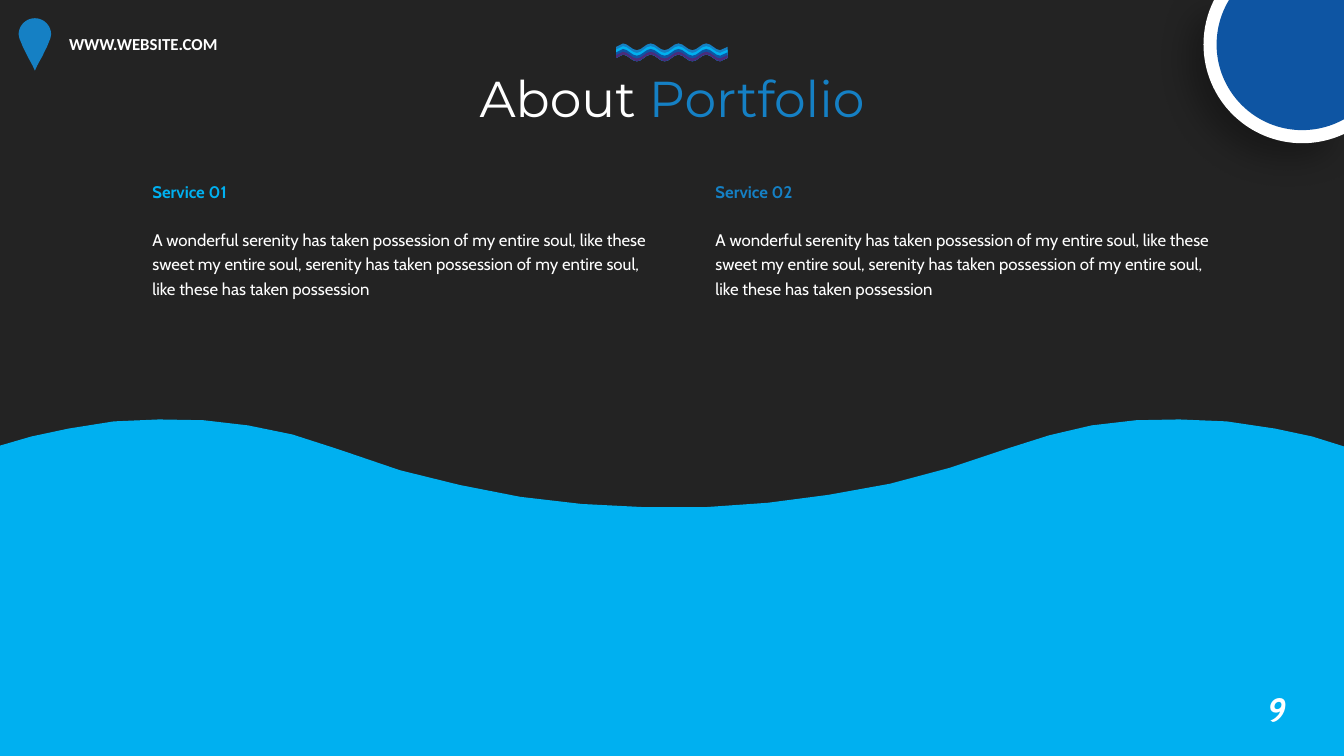
import itertools
import math
from dataclasses import dataclass

import lxml.etree
import pptx
import pptx.dml.color
import pptx.enum.text
import pptx.oxml.ns
import pptx.util

Cm = pptx.util.Cm
qn = pptx.oxml.ns.qn
WIDTH, HEIGHT = 33.87, 19.05


@dataclass(frozen=True)
class Theme:
    night: str = "232323"
    white: str = "FFFFFF"
    sky: str = "00B0F0"
    azure: str = "1580C4"
    royal: str = "0E55A3"
    violet: str = "4A2C7B"
    shadow: str = "000000"
    title_size: int = 36
    number_size: int = 24
    body_size: int = 12
    heading_font: str = "Montserrat"
    body_font: str = "Cabin"
    web_font: str = "Calibri"


class SlideBuilder:
    def __init__(self, slide, theme):
        self.slide = slide
        self.theme = theme

    def paint(self, fill, color):
        fill.solid()
        fill.fore_color.rgb = pptx.dml.color.RGBColor.from_string(color)

    def style(self, font, name, size, color=None, bold=False, italic=False):
        font.name, font.size = name, pptx.util.Pt(size)
        font.bold, font.italic = bold, italic
        if color:
            font.color.rgb = pptx.dml.color.RGBColor.from_string(color)

    def title(self, parts, left, top, width, height):
        holder = self.slide.shapes.title
        holder.left, holder.top = Cm(left), Cm(top)
        holder.width, holder.height = Cm(width), Cm(height)
        frame = holder.text_frame
        frame.word_wrap = False
        frame.auto_size = pptx.enum.text.MSO_AUTO_SIZE.SHAPE_TO_FIT_TEXT
        frame.vertical_anchor = pptx.enum.text.MSO_ANCHOR.TOP
        paragraph = frame.paragraphs[0]
        paragraph.alignment = pptx.enum.text.PP_ALIGN.CENTER
        self.style(paragraph.font, self.theme.heading_font, self.theme.title_size)
        for words, color in parts:
            run = paragraph.add_run()
            run.text = words
            run.font.color.rgb = pptx.dml.color.RGBColor.from_string(color)

    def text_box(self, left, top, width, height, wrap=True):
        frame = self.slide.shapes.add_textbox(
            Cm(left), Cm(top), Cm(width), Cm(height)).text_frame
        frame.word_wrap = wrap
        frame.auto_size = pptx.enum.text.MSO_AUTO_SIZE.SHAPE_TO_FIT_TEXT
        return frame

    def label(self, words, box, font, size, italic=False, wrap=True):
        paragraph = self.text_box(*box, wrap=wrap).paragraphs[0]
        paragraph.text = words
        self.style(paragraph.font, font, size, self.theme.white, True, italic)

    def service(self, heading, color, body, left):
        frame = self.text_box(left, 4.36, 13.41, 3.28)
        lines = [(heading, color, True, 0), (body, self.theme.white, False, 17)]
        for index, (words, ink, bold, gap) in enumerate(lines):
            paragraph = frame.add_paragraph() if index else frame.paragraphs[0]
            paragraph.text = words
            paragraph.line_spacing = 1.2
            paragraph.space_before = pptx.util.Pt(gap)
            self.style(paragraph.font, self.theme.body_font,
                       self.theme.body_size, ink, bold)

    def group(self):
        return self.slide.shapes.add_group_shape().shapes

    def outline(self, start, steps, color, shapes=None):
        corners = [[step] if len(step) == 2 else step for step in steps]
        points = [(Cm(x), Cm(y)) for x, y in itertools.chain(*corners)]
        builder = (shapes or self.slide.shapes).build_freeform(*map(Cm, start))
        builder.add_line_segments(points, close=True)
        shape = builder.convert_to_shape()
        self.bend(shape, corners)
        self.paint(shape.fill, color)
        shape.line.fill.background()
        shape.shadow.inherit = False
        return shape

    def bend(self, shape, corners):
        lines = iter(list(shape.element.iter(qn("a:lnTo"))))
        for corner in corners:
            first, *others = itertools.islice(lines, len(corner))
            if others:
                first.tag = qn("a:cubicBezTo")
                for line in others:
                    first.append(line[0])
                    line.getparent().remove(line)

    def drop_shadow(self, shape):
        effects = shape.element.spPr.find(qn("a:effectLst"))
        shadow = lxml.etree.SubElement(
            effects, qn("a:outerShdw"), blurRad=str(pptx.util.Pt(23)),
            dist=str(pptx.util.Pt(15)), dir=str(135 * 60000), rotWithShape="0")
        ink = lxml.etree.SubElement(shadow, qn("a:srgbClr"), val=self.theme.shadow)
        lxml.etree.SubElement(ink, qn("a:alpha"), val="29000")


def corner_disc(radius, x=32.82, y=1.12):
    def rim(angle, reach=0):
        return (x + radius * (math.cos(angle) - reach * math.sin(angle)),
                y + radius * (math.sin(angle) + reach * math.cos(angle)))

    angles = [math.acos((WIDTH - x) / radius), math.pi / 2, math.pi,
              math.pi + math.asin(y / radius)]
    steps = []
    for a, b in itertools.pairwise(angles):
        reach = 4 / 3 * math.tan((b - a) / 4)
        steps.append((rim(a, reach), rim(b, -reach), rim(b)))
    return rim(angles[0]), steps + [(WIDTH, 0)]


def pin(x=0.88, y=0.87, radius=0.41, turns=20):
    angles = [math.pi * (1 + i / turns) for i in range(turns + 1)]
    head = [(x + radius * math.cos(a), y + radius * math.sin(a)) for a in angles]
    side = [(0.39, 0.97), (0.36, 1.04), (0.3, 1.19), (0.25, 1.29), (0.21, 1.37),
            (0.17, 1.45), (0.13, 1.52), (0.06, 1.65)]
    right = [(x + dx, dy) for dx, dy in side]
    left = [(x - dx, dy) for dx, dy in reversed(side)]
    return head[0], head[1:] + right + [(x, 1.78)] + left


def ripple(middle):
    crests = [(15.7 + 0.35 * i, middle - 0.085 * (-1) ** i) for i in range(8)]
    return [(15.53, middle)] + crests + [(18.34, middle)]


def ease(knots):
    return [((x1 + 0.37 * (x2 - x1), y1), (x2 - 0.37 * (x2 - x1), y2), (x2, y2))
            for (x1, y1), (x2, y2) in itertools.pairwise(knots)]


SEA = [
    (0, 11.23), (0.79, 11), (1.73, 10.8), (2.87, 10.62), (4.01, 10.57),
    (5.13, 10.59), (6.25, 10.72), (7.37, 10.95), (8.46, 11.3), (8.61, 11.35),
    (10.08, 11.85), (11.58, 12.22), (13.11, 12.52), (14.66, 12.7),
    (16.23, 12.78), (17.78, 12.78), (19.35, 12.67), (20.88, 12.47),
    (22.43, 12.19), (23.93, 11.79), (25.4, 11.3), (26.44, 10.97),
    (27.51, 10.72), (28.63, 10.59), (29.72, 10.57), (30.91, 10.62),
    (32.13, 10.8), (33.07, 11), (WIDTH, 11.25), (WIDTH, HEIGHT), (0, HEIGHT),
]
BODY = ("A wonderful serenity has taken possession of my entire soul, like these "
        "sweet my entire soul, serenity has taken possession of my entire soul, "
        "like these has taken possession")


def main():
    theme = Theme()
    deck = pptx.Presentation()
    deck.slide_width, deck.slide_height = Cm(WIDTH), Cm(HEIGHT)
    portfolio = SlideBuilder(deck.slides.add_slide(deck.slide_layouts[5]), theme)
    portfolio.paint(portfolio.slide.background.fill, theme.night)
    portfolio.title([("About ", theme.white), ("Portfolio", theme.azure)],
                    11.4, 1.57, 11.07, 1.8)

    portfolio.outline(SEA[0], SEA[1:], theme.sky)
    portfolio.label("9", (31.7, 17.23, 1.02, 1.27), theme.body_font,
                    theme.number_size, italic=True, wrap=False)
    portfolio.outline(*pin(), theme.azure)
    portfolio.label("WWW.WEBSITE.COM", (1.49, 0.72, 6.43, 0.76),
                    theme.web_font, theme.body_size)

    badge = portfolio.group()
    rim = portfolio.outline(*corner_disc(2.49), theme.white, badge)
    portfolio.drop_shadow(rim)
    portfolio.outline(*corner_disc(2.16), theme.royal, badge)

    ribbon = portfolio.group()
    trough = ripple(1.46)[::-1]
    bands = [theme.azure, theme.sky, theme.royal, theme.violet]
    for layer, color in enumerate(bands):
        crest = ripple(1.18 + 0.07 * layer)
        steps = ease(crest) + [trough[0]] + ease(trough)
        portfolio.outline(crest[0], steps, color, ribbon)

    portfolio.service("Service 01", theme.sky, BODY, 3.59)
    portfolio.service("Service 02", theme.azure, BODY, 17.78)
    deck.save("out.pptx")


if __name__ == "__main__":
    main()
